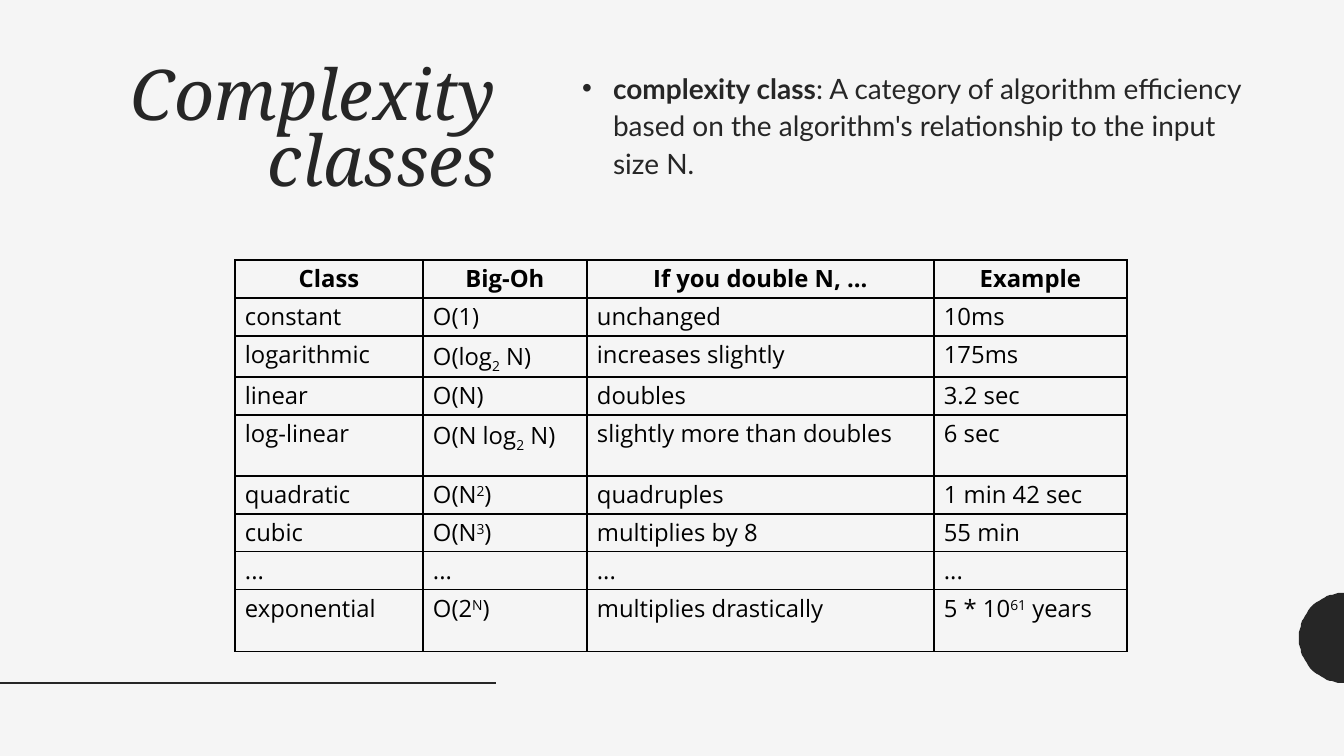
import math
from lxml import etree
from pptx import Presentation
from pptx import util as u
from pptx.dml.color import RGBColor
from pptx.enum import shapes, text
from pptx.oxml import ns

# Content
TITLE = "Complexity classes"
DEFINITION = [
    ("complexity class", True),
    (": A category of algorithm efficiency based on the algorithm's "
     "relationship to the input size N.", False),
]
# A cell is a string, or a tuple of (text, baseline shift) runs
SUB, SUP = -25000, 30000
ROWS = [
    ("Class", "Big-Oh", "If you double N, ...", "Example"),
    ("constant", "O(1)", "unchanged", "10ms"),
    ("logarithmic", (("O(log", 0), ("2", SUB), (" N)", 0)), "increases slightly", "175ms"),
    ("linear", "O(N)", "doubles", "3.2 sec"),
    ("log-linear", (("O(N log", 0), ("2", SUB), (" N)", 0)), "slightly more than doubles", "6 sec"),
    ("quadratic", (("O(N", 0), ("2", SUP), (")", 0)), "quadruples", "1 min 42 sec"),
    ("cubic", (("O(N", 0), ("3", SUP), (")", 0)), "multiplies by 8", "55 min"),
    ("...",) * 4,
    ("exponential", (("O(2", 0), ("N", SUP), (")", 0)), "multiplies drastically",
     (("5 * 10", 0), ("61", SUP), (" years", 0))),
]
COLUMN_WIDTHS = [188, 164, 347, 193]
ROW_HEIGHTS = [38, 38, 41, 38, 61, 38, 38, 38, 62]
INK, BLACK, PAPER = "262626", "000000", "F5F5F5"
SCALE = 914400 / 100.8


def px(value):
    return u.Emu(round(value * SCALE))


def color(value):
    return RGBColor.from_string(value)


def add_span(para, words, font, size, ink, bold=False, italic=False, shift=0):
    span = para.add_run()
    span.text = words
    span.font.name, span.font.size = font, u.Pt(size)
    span.font.bold, span.font.italic = bold, italic
    span.font.color.rgb = color(ink)
    if shift:
        span.font._element.set("baseline", str(shift))


def place(box, left, top, width, height):
    box.left, box.top, box.width, box.height = map(px, (left, top, width, height))
    frame = box.text_frame
    frame.word_wrap = True
    frame.auto_size = text.MSO_AUTO_SIZE.NONE
    frame.vertical_anchor = text.MSO_ANCHOR.TOP
    return frame.paragraphs[0]


def add_borders(cell):
    properties = cell._tc.get_or_add_tcPr()
    for side in ("lnL", "lnR", "lnT", "lnB"):
        line = etree.SubElement(properties, ns.qn("a:" + side), w=str(u.Pt(1)))
        fill = etree.SubElement(line, ns.qn("a:solidFill"))
        etree.SubElement(fill, ns.qn("a:srgbClr"), val=BLACK)


deck = Presentation()
deck.slide_width, deck.slide_height = px(1344), px(756)
page = deck.slides.add_slide(deck.slide_layouts[1])
page.background.fill.solid()
page.background.fill.fore_color.rgb = color(PAPER)

# Half disc at the right edge
RADIUS, CENTRE_Y = 45, 638
angles = [math.pi * (0.5 + step / 48) for step in range(49)]
arc = [(1344 + RADIUS * math.cos(a), CENTRE_Y + RADIUS * math.sin(a)) for a in angles]
outline = page.shapes.build_freeform(*arc[0], scale=SCALE)
outline.add_line_segments(arc[1:], close=True)
half_disc = outline.convert_to_shape()
half_disc.shadow.inherit = False
half_disc.fill.solid()
half_disc.fill.fore_color.rgb = color(INK)
half_disc.line.fill.background()

# Rule at the bottom left
rule = page.shapes.add_connector(shapes.MSO_CONNECTOR.STRAIGHT, 0, px(683), px(496), px(683))
rule.line.color.rgb = color(INK)
rule.line.width = u.Pt(2)
etree.SubElement(rule._element.spPr, ns.qn("a:effectLst"))

# Title
para = place(page.shapes.title, 84, 62, 422, 546)
para.alignment = text.PP_ALIGN.RIGHT
para.line_spacing = 0.79
add_span(para, TITLE, "Noto Serif", 50, INK, italic=True)

# Definition
para = place(page.placeholders[1], 572, 62, 688, 685)
para.line_spacing = 1.12
para.space_before = u.Pt(9)
para._p.get_or_add_pPr().set("marL", str(px(31)))
para._p.get_or_add_pPr().set("indent", str(px(-31)))
for words, bold in DEFINITION:
    add_span(para, words, "Lato", 20, INK, bold=bold)

# Table of classes
table = page.shapes.add_table(len(ROWS), len(COLUMN_WIDTHS), px(235), px(260),
                              px(sum(COLUMN_WIDTHS)), px(sum(ROW_HEIGHTS))).table
table.first_row = table.horz_banding = False
for column, width in zip(table.columns, COLUMN_WIDTHS):
    column.width = px(width)
for r, (row, height) in enumerate(zip(ROWS, ROW_HEIGHTS)):
    table.rows[r].height = px(height)
    for c, content in enumerate(row):
        cell = table.cell(r, c)
        add_borders(cell)
        cell.fill.background()
        cell.margin_left = cell.margin_right = px(10)
        cell.margin_top = cell.margin_bottom = px(4)
        para = cell.text_frame.paragraphs[0]
        para.line_spacing = 0.9
        if r == 0:
            para.alignment = text.PP_ALIGN.CENTER
        spans = ((content, 0),) if isinstance(content, str) else content
        for words, shift in spans:
            add_span(para, words, "Open Sans", 17, BLACK, bold=r == 0, shift=shift)

deck.save("out.pptx")
